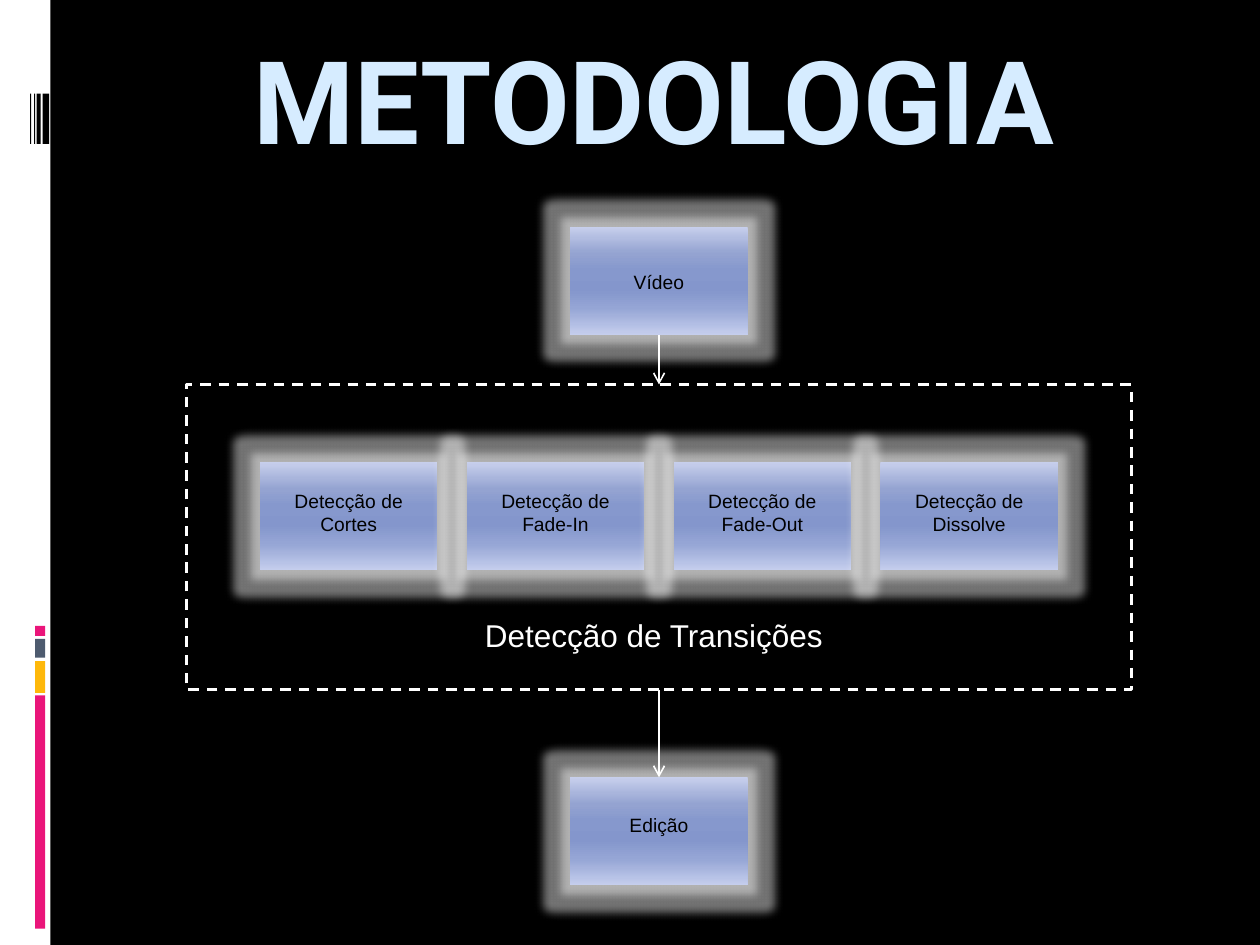
"""Builds the METODOLOGIA slide: a flow from video through transition detection to editing."""
from lxml import etree
from pptx import Presentation
from pptx.dml.color import RGBColor
from pptx.enum.dml import MSO_LINE
from pptx.enum.shapes import MSO_CONNECTOR, MSO_SHAPE
from pptx.enum.text import MSO_ANCHOR, PP_ALIGN
from pptx.oxml import parse_xml
from pptx.oxml.ns import qn
from pptx.util import Cm, Pt

RECT, LINE = MSO_SHAPE.RECTANGLE, MSO_CONNECTOR.STRAIGHT
DASH, TOP, MID = MSO_LINE.DASH, MSO_ANCHOR.TOP, PP_ALIGN.CENTER
NS = "http://schemas.openxmlformats.org/drawingml/2006/main"

BLACK, WHITE, PINK = "000000", "FFFFFF", "EA157A"
BARS = [
    (0, 0, 1.02, 19.05, WHITE),
    (0.71, 14.02, 0.2, 4.7, PINK),
    (0.71, 13.33, 0.2, 0.64, "FEB80A"),
    (0.71, 12.88, 0.2, 0.38, "4E5B6F"),
    (0.71, 12.62, 0.2, 0.2, PINK),
    (0.86, 1.89, 0.13, 1.01, BLACK),
    (0.74, 1.89, 0.08, 1.01, BLACK),
    (0.69, 1.89, 0.02, 1.01, BLACK),
    (0.61, 1.89, 0.02, 1.01, BLACK),
]
STOPS = [(0, "C7CFEC"), (25, "94A3D1"), (40, "8698CD"), (50, "8496CC"),
         (60, "8698CD"), (75, "95A5D5"), (100, "C5CEED")]
STEPS = ["Cortes", "Fade-In", "Fade-Out", "Dissolve"]
BOX_W, BOX_H, PITCH = 3.58, 2.18, 4.17
FRAME = (3.76, 7.75, 19.05, 6.15)
MID_X = FRAME[0] + FRAME[2] / 2
VIDEO_Y, STEP_Y, EDIT_Y = 4.57, 9.32, 15.67


def rgb(code):
    return RGBColor.from_string(code)


def rect(home, place, fill=None):
    shape = home.add_shape(RECT, *map(Cm, place))
    shape.shadow.inherit = False
    shape.line.fill.background()
    if fill:
        shape.fill.solid()
        shape.fill.fore_color.rgb = rgb(fill)
    else:
        shape.fill.background()
    return shape


def text(home, place, words, size, color, font="Arial", bold=False):
    box = home.add_textbox(*map(Cm, place))
    frame = box.text_frame
    frame.word_wrap = True
    frame.vertical_anchor = TOP
    para = frame.paragraphs[0]
    para.text = words
    para.alignment = MID
    para.font.size = Pt(size)
    para.font.name = font
    para.font.bold = bold
    para.font.color.rgb = rgb(color)
    return box


def shade(shape):
    props = shape.element.spPr
    stops = "".join(f'<a:gs pos="{pos * 1000}"><a:srgbClr val="{code}"/></a:gs>'
                    for pos, code in STOPS)
    grad = parse_xml(f'<a:gradFill xmlns:a="{NS}" rotWithShape="1"><a:gsLst>{stops}</a:gsLst>'
                     '<a:lin ang="5400000" scaled="0"/></a:gradFill>')
    props.replace(props.find(qn("a:noFill")), grad)
    glow = parse_xml(f'<a:glow xmlns:a="{NS}" rad="{Cm(0.36)}"><a:srgbClr val="{WHITE}">'
                     '<a:alpha val="45000"/></a:srgbClr></a:glow>')
    props.find(qn("a:effectLst")).append(glow)


def node(slide, left, top, words, drop, high):
    group = slide.shapes.add_group_shape().shapes
    shade(rect(group, (left, top, BOX_W, BOX_H)))
    text(group, (left, top + drop, BOX_W, high), words, 11, BLACK)


def arrow(slide, top, end):
    line = slide.shapes.add_connector(LINE, Cm(MID_X), Cm(top), Cm(MID_X), Cm(end))
    line.line.color.rgb = rgb(WHITE)
    line.line.width = Pt(0.94)
    etree.SubElement(line.line._get_or_add_ln(), qn("a:tailEnd"), type="arrow")
    etree.SubElement(line.element.spPr, qn("a:effectLst"))


def main():
    deck = Presentation()
    deck.slide_width, deck.slide_height = Cm(25.4), Cm(19.05)
    slide = deck.slides.add_slide(deck.slide_layouts[6])
    back = slide.background.fill
    back.solid()
    back.fore_color.rgb = rgb(BLACK)

    for *place, fill in BARS:
        rect(slide.shapes, place, fill)
    title = text(slide.shapes, (2.39, 0.58, 21.59, 2.54), "METODOLOGIA",
                 66, "D6ECFF", "Roboto", True)
    title.text_frame.margin_top = 0

    first = MID_X - (BOX_W + PITCH * (len(STEPS) - 1)) / 2
    for i, step in enumerate(STEPS):
        node(slide, first + i * PITCH, STEP_Y, f"Detecção de {step}", 0.41, 1.19)
    left = MID_X - BOX_W / 2
    node(slide, left, EDIT_Y, "Edição", 0.61, 0.73)
    node(slide, left, VIDEO_Y, "Vídeo", 0.76, 0.73)

    frame = rect(slide.shapes, FRAME)
    frame.line.color.rgb = rgb(WHITE)
    frame.line.width = Pt(1.5)
    frame.line.dash_style = DASH
    arrow(slide, FRAME[1] + FRAME[3], EDIT_Y)
    arrow(slide, VIDEO_Y + BOX_H, FRAME[1])
    text(slide.shapes, (5.94, 12.29, 14.48, 1.03), "Detecção de Transições", 18, WHITE)
    deck.save("out.pptx")


if __name__ == "__main__":
    main()
